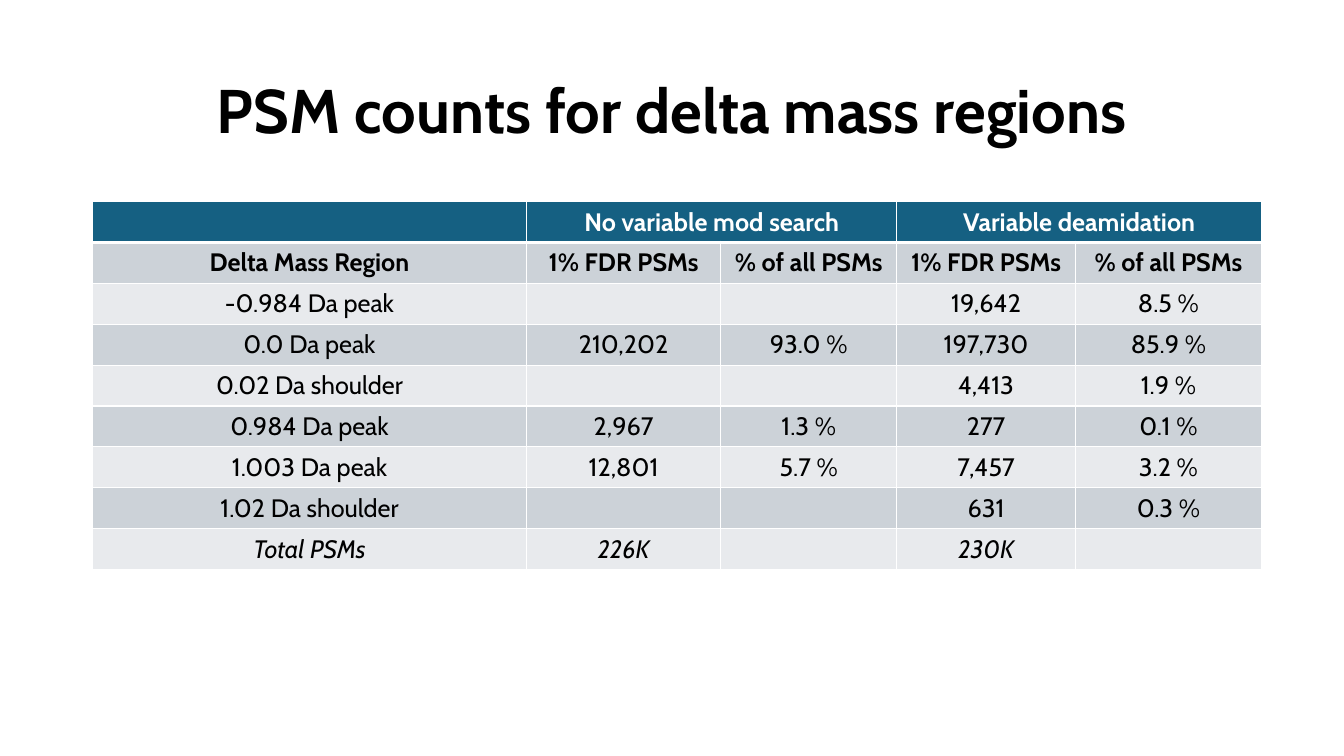
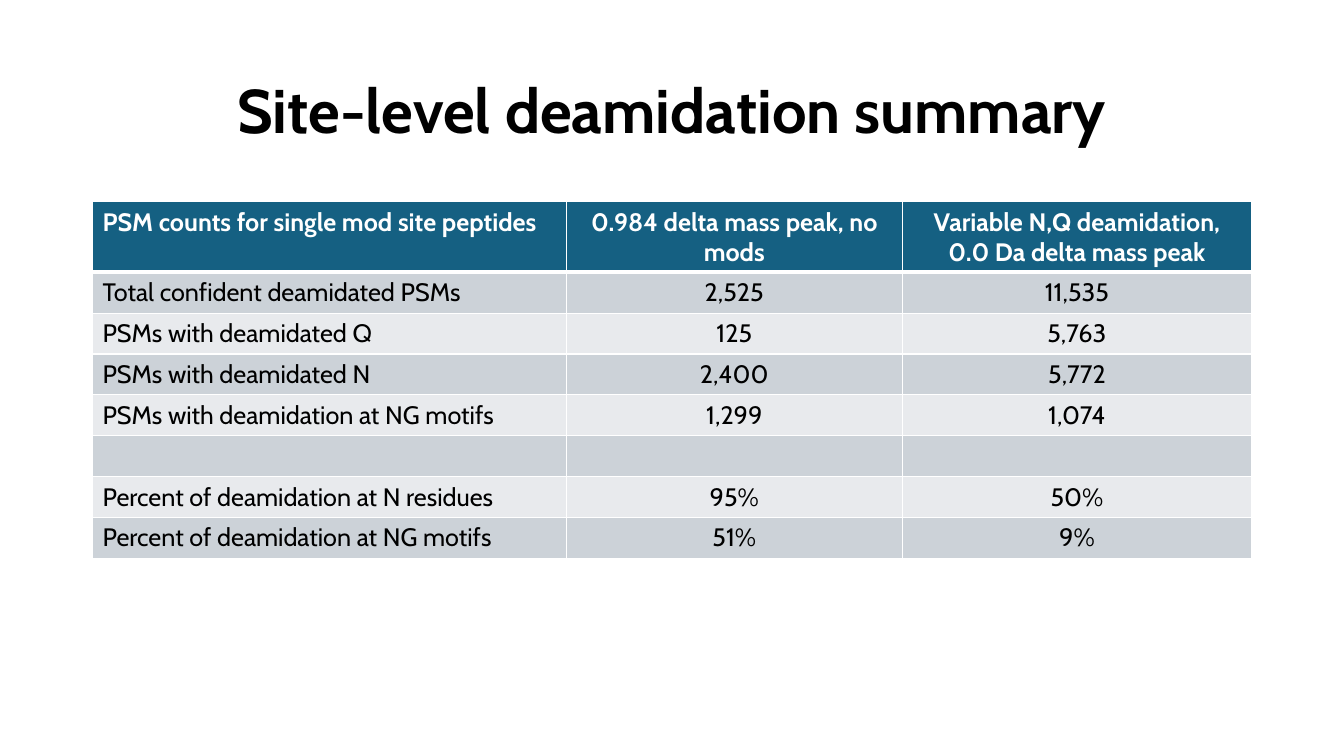
"""Build two slides of deamidation result tables."""
from lxml import etree
from pptx import Presentation
from pptx.dml.color import RGBColor
from pptx.enum import text
from pptx.oxml import ns
from pptx.util import Cm, Pt

FONT = "Cabin"
BLACK = RGBColor(0x00, 0x00, 0x00)
WHITE = RGBColor(0xFF, 0xFF, 0xFF)
HEADER = RGBColor(0x15, 0x60, 0x82)
BANDS = (RGBColor(0xE8, 0xEA, 0xED), RGBColor(0xCC, 0xD2, 0xD8))
LEFT = Cm(2.33)
TABLE_TOP = Cm(5.08)
ROW_HEIGHT = Cm(1.03)
THIN, THICK = Pt(1), Pt(3)
CENTER, START = text.PP_ALIGN.CENTER, text.PP_ALIGN.LEFT

SLIDES = [
    {
        "title": "PSM counts for delta mass regions",
        "widths": [10.94, 4.89, 4.44, 4.5, 4.69],
        "header_height": ROW_HEIGHT,
        "first_column": CENTER,
        "merges": [(1, 2), (3, 4)],
        "bold_rows": {0, 1},
        "italic_rows": {8},
        "rows": [
            ("", "No variable mod search", "", "Variable deamidation", ""),
            ("Delta Mass Region", "1% FDR PSMs", "% of all PSMs", "1% FDR PSMs", "% of all PSMs"),
            ("-0.984 Da peak", "", "", "19,642", "8.5 %"),
            ("0.0 Da peak", "210,202", "93.0 %", "197,730", "85.9 %"),
            ("0.02 Da shoulder", "", "", "4,413", "1.9 %"),
            ("0.984 Da peak", "2,967", "1.3 %", "277", "0.1 %"),
            ("1.003 Da peak", "12,801", "5.7 %", "7,457", "3.2 %"),
            ("1.02 Da shoulder", "", "", "631", "0.3 %"),
            ("Total PSMs", "226K", "", "230K", ""),
        ],
    },
    {
        "title": "Site-level deamidation summary",
        "widths": [11.94, 8.47, 8.8],
        "header_height": Cm(1.78),
        "first_column": START,
        "merges": [],
        "bold_rows": {0},
        "italic_rows": set(),
        "rows": [
            ("PSM counts for single mod site peptides", "0.984 delta mass peak, no mods",
             "Variable N,Q deamidation, 0.0 Da delta mass peak"),
            ("Total confident deamidated PSMs", "2,525", "11,535"),
            ("PSMs with deamidated Q", "125", "5,763"),
            ("PSMs with deamidated N", "2,400", "5,772"),
            ("PSMs with deamidation at NG motifs", "1,299", "1,074"),
            ("", "", ""),
            ("Percent of deamidation at N residues", "95%", "50%"),
            ("Percent of deamidation at NG motifs", "51%", "9%"),
        ],
    },
]


def format_text(paragraph, size, color, align, bold=False, italic=False):
    paragraph.alignment = align
    for span in paragraph.runs:
        font = span.font
        font.name, font.size, font.bold, font.italic = FONT, Pt(size), bold, italic
        font.color.rgb = color


def set_borders(cell, row):
    properties = cell._tc.get_or_add_tcPr()
    widths = {"lnL": THIN, "lnR": THIN,
              "lnT": THICK if row == 1 else THIN,
              "lnB": THICK if row == 0 else THIN}
    for side, width in widths.items():
        line = etree.SubElement(properties, ns.qn(f"a:{side}"), w=str(int(width)))
        fill = etree.SubElement(line, ns.qn("a:solidFill"))
        etree.SubElement(fill, ns.qn("a:srgbClr"), val=str(WHITE))


def add_title(page, title):
    box = page.shapes.add_textbox(LEFT, Cm(1.01), Cm(29.21), Cm(3.68))
    frame = box.text_frame
    frame.word_wrap = True
    frame.vertical_anchor = text.MSO_ANCHOR.MIDDLE
    frame.text = title
    paragraph = frame.paragraphs[0]
    paragraph.line_spacing = 0.9
    format_text(paragraph, 44, BLACK, CENTER, bold=True)


def add_result_table(page, content):
    rows, widths = content["rows"], content["widths"]
    height = content["header_height"] + ROW_HEIGHT * (len(rows) - 1)
    table = page.shapes.add_table(
        len(rows), len(widths), LEFT, TABLE_TOP, Cm(sum(widths)), height).table
    table.first_row = table.horz_banding = False
    for column, width in zip(table.columns, widths):
        column.width = Cm(width)
    for i, values in enumerate(rows):
        table.rows[i].height = ROW_HEIGHT if i else content["header_height"]
        for j, value in enumerate(values):
            cell = table.cell(i, j)
            set_borders(cell, i)
            cell.fill.solid()
            cell.fill.fore_color.rgb = BANDS[i % 2] if i else HEADER
            cell.text_frame.text = value
            format_text(cell.text_frame.paragraphs[0], 18, BLACK if i else WHITE,
                        CENTER if j else content["first_column"],
                        i in content["bold_rows"], i in content["italic_rows"])
    for first, last in content["merges"]:
        table.cell(0, first).merge(table.cell(0, last))


def main():
    deck = Presentation()
    deck.slide_width, deck.slide_height = Cm(33.87), Cm(19.05)
    for content in SLIDES:
        page = deck.slides.add_slide(deck.slide_layouts[6])
        add_title(page, content["title"])
        add_result_table(page, content)
    deck.save("out.pptx")


if __name__ == "__main__":
    main()
